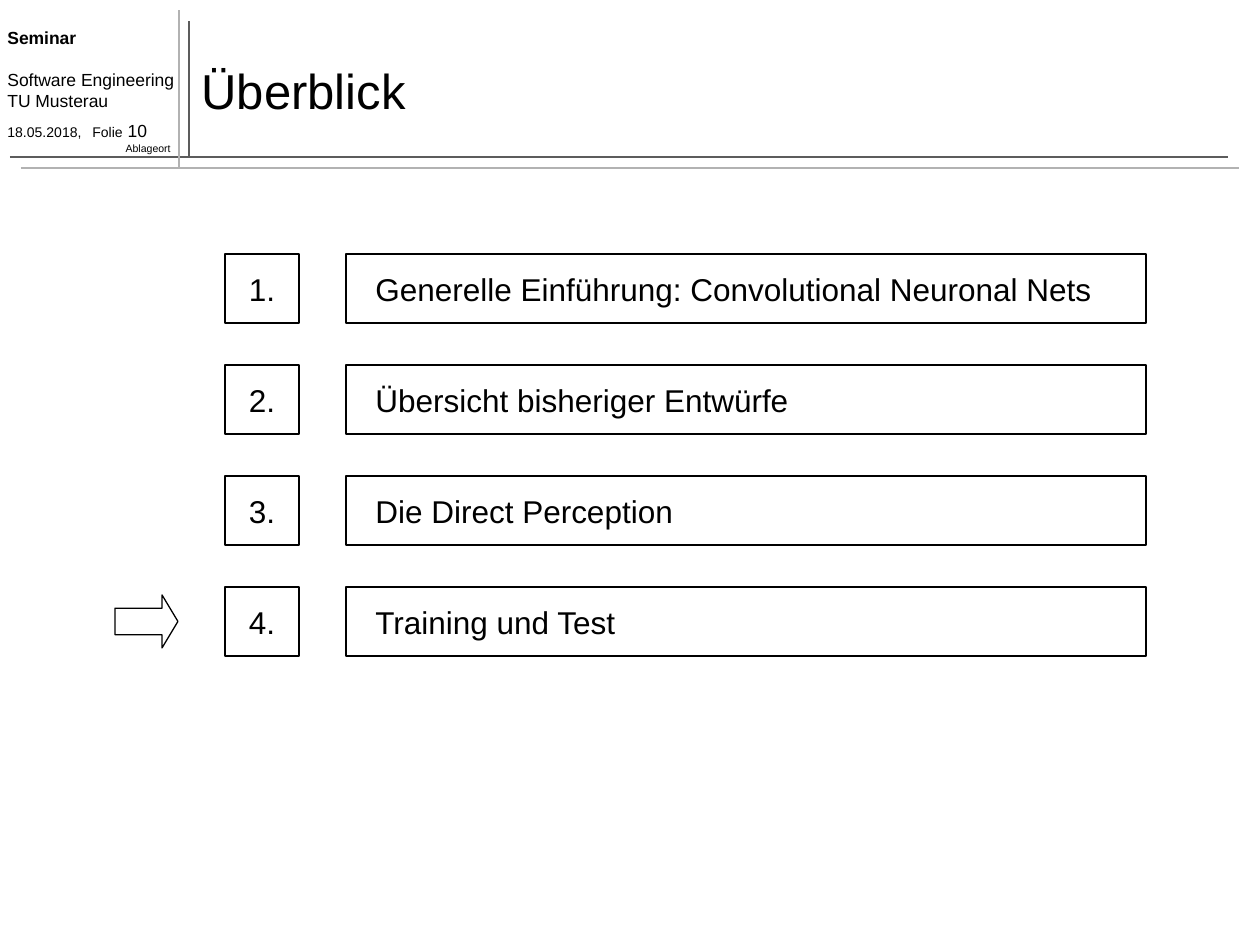
from lxml.etree import SubElement
from pptx import Presentation
from pptx.dml.color import RGBColor
from pptx.enum.shapes import MSO_CONNECTOR, MSO_SHAPE
from pptx.enum.text import MSO_ANCHOR, MSO_AUTO_SIZE, PP_ALIGN
from pptx.oxml.ns import qn
from pptx.util import Emu, Pt

PX = 914400 / 126
BLACK = RGBColor(0x00, 0x00, 0x00)
DARK_GRAY = RGBColor(0x5C, 0x5C, 0x5C)
LIGHT_GRAY = RGBColor(0xB2, 0xB2, 0xB2)


def px(*lengths):
    return [Emu(round(length * PX)) for length in lengths]


def style(paragraph, size, align=PP_ALIGN.LEFT):
    paragraph.alignment = align
    for run in paragraph.runs:
        run.font.name = "Arial"
        run.font.size = Pt(size)
        run.font.color.rgb = BLACK


presentation = Presentation()
presentation.slide_width, presentation.slide_height = px(1260, 945)
slide = presentation.slides.add_slide(presentation.slide_layouts[5])

rules = [
    (189, 157, 189, 21, DARK_GRAY),
    (10, 157, 1228, 157, DARK_GRAY),
    (21, 168, 1239, 168, LIGHT_GRAY),
    (179, 168, 179, 10, LIGHT_GRAY),
]
for *ends, color in rules:
    rule = slide.shapes.add_connector(MSO_CONNECTOR.STRAIGHT, *px(*ends))
    rule.line.color.rgb = color
    rule.line.width = Pt(1)
    SubElement(rule._element.spPr, qn("a:effectLst"))

seminar_info = slide.shapes.add_textbox(*px(-5, 21, 194, 130)).text_frame
seminar_info.word_wrap = True
seminar_info.text = "Seminar\nSoftware Engineering\nTU Musterau\n18.05.2018,\tFolie"
seminar, subject, university, date = seminar_info.paragraphs
for paragraph, size in [(seminar, 10), (subject, 10), (university, 10), (date, 8)]:
    style(paragraph, size)
seminar.runs[0].font.bold = True
subject.space_before = Pt(12)
date.space_before = Pt(5)
tab_stops = SubElement(date._p.get_or_add_pPr(), qn("a:tabLst"))
SubElement(tab_stops, qn("a:tab"), pos=str(px(85)[0]), algn="l")
page_number = date.add_run()
page_number.text = " 10"
page_number.font.name = "Arial"
page_number.font.size = Pt(10)
page_number.font.color.rgb = BLACK

storage = slide.shapes.add_textbox(*px(112, 136, 71, 25)).text_frame
storage.word_wrap = False
storage.text = "Ablageort"
style(storage.paragraphs[0], 6, PP_ALIGN.RIGHT)

title = slide.shapes.title
title.left, title.top, title.width, title.height = px(189, 32, 1050, 115)
title.text_frame.text = "Überblick"
title.text_frame.vertical_anchor = MSO_ANCHOR.MIDDLE
style(title.text_frame.paragraphs[0], 28)

topics = [
    ("Generelle Einführung: Convolutional Neuronal Nets", 749),
    ("Übersicht bisheriger Entwürfe", 442),
    ("Die Direct Perception", 326),
    ("Training und Test", 267),
]
FIRST_TOP, ROW_PITCH, CURRENT = 254, 111, 3
for index, (topic, topic_width) in enumerate(topics):
    top = FIRST_TOP + index * ROW_PITCH
    row = slide.shapes.add_group_shape()
    outlines = [
        row.shapes.add_shape(MSO_SHAPE.RECTANGLE, *px(left, top, width, 69))
        for left, width in [(346, 800), (225, 74)]
    ]
    if index == CURRENT:
        arrow = row.shapes.add_shape(MSO_SHAPE.RIGHT_ARROW, *px(115, top + 8, 63, 53))
        arrow.adjustments[0] = 0.5
        arrow.adjustments[1] = 0.3
        outlines.append(arrow)
    for outline in outlines:
        outline.shadow.inherit = False
        outline.fill.background()
        outline.line.color.rgb = BLACK
        outline.line.width = Pt(0.75)

    for text, left, width, align in [
        (topic, 363, topic_width, PP_ALIGN.LEFT),
        (f"{index + 1}.", 236, 52, PP_ALIGN.CENTER),
    ]:
        label = row.shapes.add_textbox(*px(left, top + 9, width, 51)).text_frame
        label.word_wrap = False
        label.auto_size = MSO_AUTO_SIZE.SHAPE_TO_FIT_TEXT
        label.vertical_anchor = MSO_ANCHOR.MIDDLE
        label.text = text
        style(label.paragraphs[0], 18, align)

presentation.save("out.pptx")
